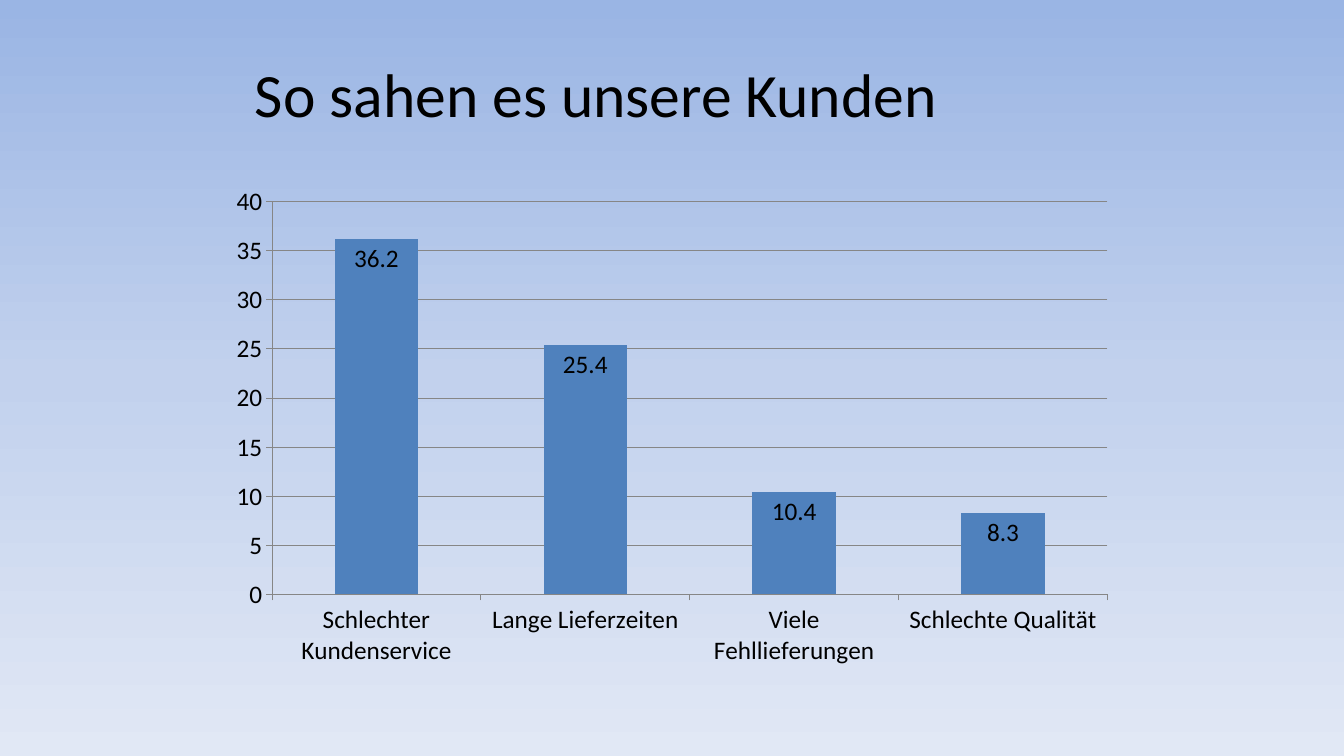
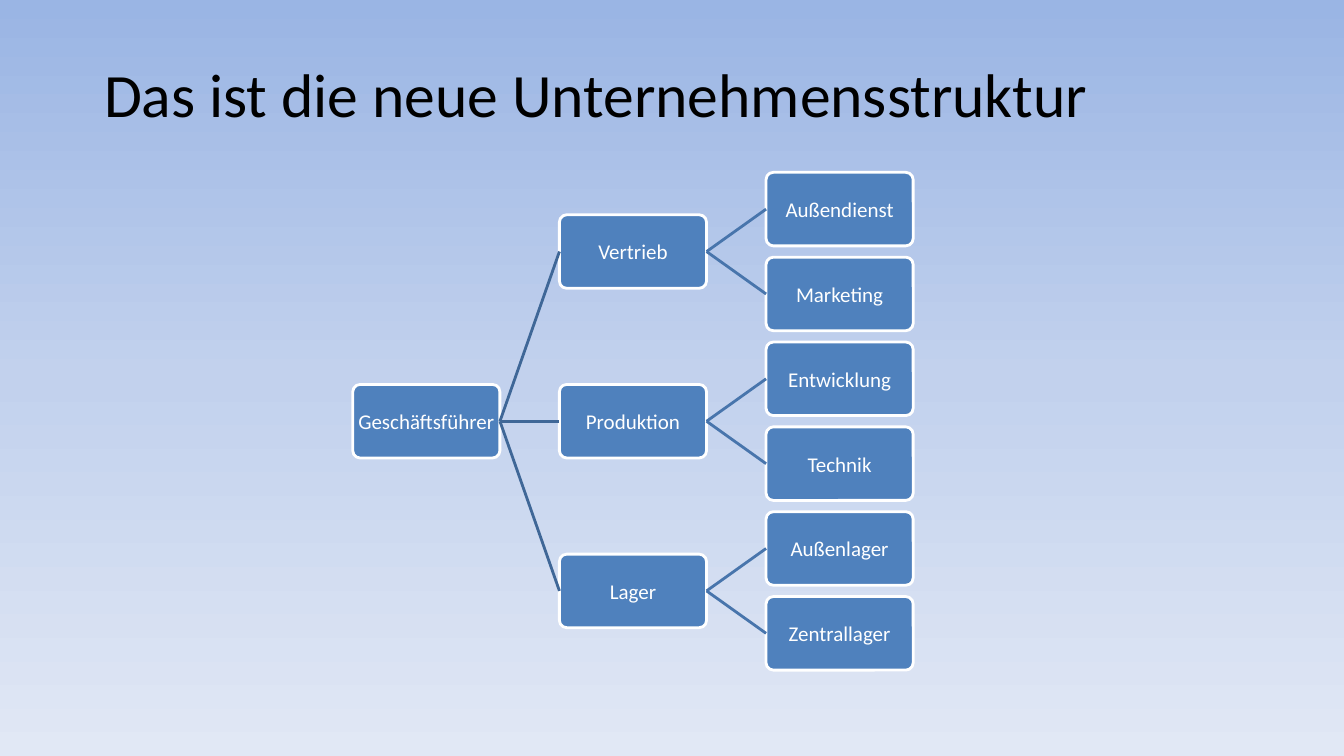
from lxml.etree import SubElement
from pptx import Presentation
from pptx.chart.data import CategoryChartData
from pptx.dml.color import RGBColor
from pptx.enum.chart import XL_CHART_TYPE, XL_LABEL_POSITION, XL_TICK_MARK
from pptx.enum.shapes import MSO_CONNECTOR, MSO_SHAPE
from pptx.enum.text import MSO_ANCHOR, PP_ALIGN
from pptx.oxml.ns import qn
from pptx.util import Inches, Pt

# Grid: 80 columns by 45 rows of square cells
COLS, ROWS = 80, 45
CELL = Inches(7.5) / ROWS

# Shared style
FONT = "Calibri"
BLACK, WHITE, BLUE, GRAY = "000000", "FFFFFF", "4F81BD", "868686"
BACKGROUND = [(0, "9AB5E4"), (50, "C2D1ED"), (100, "E1E8F5")]
LINK_COLORS = ["3F6797", "4875AC"]  # by level of the tree

# Organisation chart: box size, first box, and pitch in grid cells
BOX_W, BOX_H = 8.76, 4.38
TREE_LEFT, TREE_TOP = 21, 10.26
LEVEL_PITCH, LEAF_PITCH = 12.3, 5.05


def rgb(color):
    return RGBColor.from_string(color)


def grid(*cells):
    return [round(n * CELL) for n in cells]


class Deck:
    def __init__(self):
        self.prs = Presentation()
        self.prs.slide_width, self.prs.slide_height = grid(COLS, ROWS)
        self.s = None
        self.paint_background()

    def paint_background(self):
        master = self.prs.slide_master
        fill = master.background.fill
        fill.gradient()
        fill.gradient_angle = 270
        stops = master.element.cSld.find(".//" + qn("a:gsLst"))
        for stop in list(stops):
            stops.remove(stop)
        for share, color in BACKGROUND:
            stop = SubElement(stops, qn("a:gs"), pos=str(share * 1000))
            SubElement(stop, qn("a:srgbClr"), val=color)

    def add_slide(self, title):
        self.s = self.prs.slides.add_slide(self.prs.slide_layouts[6])
        sp = self.s.shapes.add_textbox(*grid(4, 1.8, 63, 7.5))
        self.add_text(sp, title, 44, BLACK)

    def add_text(self, sp, text, size, color):
        tf = sp.text_frame
        tf.word_wrap = True
        tf.vertical_anchor = MSO_ANCHOR.MIDDLE
        p = tf.paragraphs[0]
        p.alignment = PP_ALIGN.CENTER
        r = p.add_run()
        r.text = text
        r.font.name, r.font.size = FONT, Pt(size)
        r.font.color.rgb = rgb(color)
        return tf

    def box(self, x, y, text):
        sp = self.s.shapes.add_shape(MSO_SHAPE.ROUNDED_RECTANGLE,
                                     *grid(x, y, BOX_W, BOX_H))
        sp.adjustments[0] = 0.1
        sp.shadow.inherit = False
        sp.fill.solid()
        sp.fill.fore_color.rgb = rgb(BLUE)
        sp.line.color.rgb = rgb(WHITE)
        sp.line.width = Pt(2)
        tf = self.add_text(sp, text, 15, WHITE)
        tf.margin_left = tf.margin_right = tf.margin_top = tf.margin_bottom = 0
        return sp

    def link(self, parent, child, color):
        cx = self.s.shapes.add_connector(MSO_CONNECTOR.STRAIGHT, 0, 0, 0, 0)
        cx.begin_connect(parent, 3)
        cx.end_connect(child, 1)
        cx.line.color.rgb = rgb(color)
        cx.line.width = Pt(2)
        SubElement(cx.element.spPr, qn("a:effectLst"))

    def tree(self, name, branches, level=0, first=0):
        """Draw a node and its branches; return its box and leaf count."""
        children, leaves = [], 0
        for label, twigs in branches.items():
            child, count = self.tree(label, twigs, level + 1, first + leaves)
            children.append(child)
            leaves += count
        leaves = leaves or 1
        row = first + (leaves - 1) / 2
        sp = self.box(TREE_LEFT + level * LEVEL_PITCH,
                      TREE_TOP + row * LEAF_PITCH, name)
        for child in children:
            self.link(sp, child, LINK_COLORS[level])
        return sp, leaves

    def column_chart(self, x, y, w, h, values):
        data = CategoryChartData(number_format="General")
        data.categories = list(values)
        data.add_series("Series 1", list(values.values()))
        chart = self.s.shapes.add_chart(XL_CHART_TYPE.COLUMN_CLUSTERED,
                                        *grid(x, y, w, h), data).chart
        chart.has_title = chart.has_legend = False
        chart.font.name, chart.font.size = FONT, Pt(18)
        chart.font.color.rgb = rgb(BLACK)

        # Axes
        val = chart.value_axis
        val.minimum_scale, val.maximum_scale, val.major_unit = 0, 40, 5
        val.has_major_gridlines = True
        for axis in (val, chart.category_axis):
            axis.major_tick_mark = XL_TICK_MARK.OUTSIDE
            axis.format.line.color.rgb = rgb(GRAY)
        val.major_gridlines.format.line.color.rgb = rgb(GRAY)

        # Columns and their labels
        plot = chart.plots[0]
        plot.gap_width = 150
        plot.vary_by_categories = False
        fill = plot.series[0].format.fill
        fill.solid()
        fill.fore_color.rgb = rgb(BLUE)
        plot.has_data_labels = True
        plot.data_labels.show_value = True
        plot.data_labels.position = XL_LABEL_POSITION.INSIDE_END


def main():
    deck = Deck()

    # Customer complaints
    deck.add_slide("So sahen es unsere Kunden")
    deck.column_chart(13, 10.5, 54, 29.7, {
        "Schlechter Kundenservice": 36.2,
        "Lange Lieferzeiten": 25.4,
        "Viele Fehllieferungen": 10.4,
        "Schlechte Qualität": 8.3,
    })

    # Company structure
    deck.add_slide("Das ist die neue Unternehmensstruktur")
    deck.tree("Geschäftsführer", {
        "Vertrieb": {"Außendienst": {}, "Marketing": {}},
        "Produktion": {"Entwicklung": {}, "Technik": {}},
        "Lager": {"Außenlager": {}, "Zentrallager": {}},
    })

    deck.prs.save("out.pptx")


if __name__ == "__main__":
    main()
